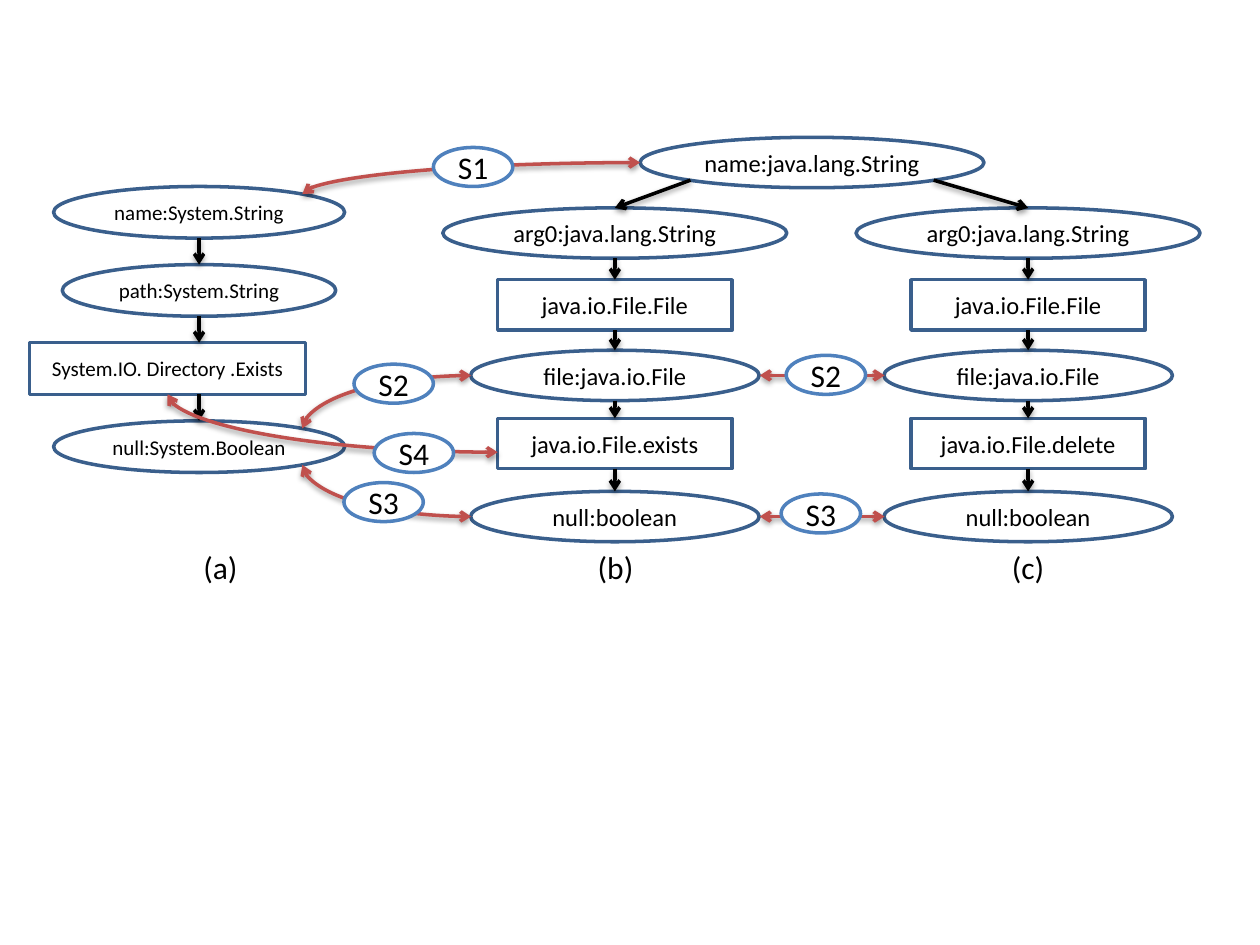
from dataclasses import dataclass
from itertools import pairwise

from lxml.etree import SubElement
from pptx import Presentation
from pptx.dml.color import RGBColor
from pptx.enum.shapes import MSO_CONNECTOR, MSO_SHAPE
from pptx.enum.text import MSO_ANCHOR, PP_ALIGN
from pptx.oxml.ns import qn
from pptx.util import Inches, Pt


@dataclass(frozen=True)
class Theme:
    font: str = "Calibri"
    ink: str = "000000"
    paper: str = "FFFFFF"
    node: str = "3A5F8C"
    badge: str = "4F81BD"
    match: str = "C0504D"
    small: int = 12
    medium: int = 14
    large: int = 18
    stroke: int = 2


THEME = Theme()
OVAL, RECT = MSO_SHAPE.OVAL, MSO_SHAPE.RECTANGLE


def rgb(value):
    return RGBColor.from_string(value)


def write(tf, text, size):
    p = tf.paragraphs[0]
    p.text = text
    p.alignment = PP_ALIGN.CENTER
    p.font.name = THEME.font
    p.font.size = Pt(size)
    p.font.color.rgb = rgb(THEME.ink)


def add_node(s, kind, box, text, size, outline=THEME.node):
    sp = s.shapes.add_shape(kind, *map(Inches, box))
    sp.shadow.inherit = False
    sp.fill.solid()
    sp.fill.fore_color.rgb = rgb(THEME.paper)
    sp.line.color.rgb = rgb(outline)
    sp.line.width = Pt(THEME.stroke)
    tf = sp.text_frame
    tf.margin_left = tf.margin_right = tf.margin_top = tf.margin_bottom = 0
    tf.vertical_anchor = MSO_ANCHOR.MIDDLE
    tf.word_wrap = False
    write(tf, text, size)


def add_arrow(s, start, end, color=THEME.ink, kind=MSO_CONNECTOR.STRAIGHT,
              ends=("tailEnd",)):
    """Connector that keeps the soft shadow of the theme."""
    line = s.shapes.add_connector(kind, *map(Inches, (*start, *end)))
    line.line.color.rgb = rgb(color)
    line.line.width = Pt(THEME.stroke)
    for tag in ends:
        SubElement(line.line._get_or_add_ln(), qn(f"a:{tag}"), type="arrow")
    return line


def add_match(s, start, end):
    """Two-headed curve; it leaves start sideways and meets end upright."""
    line = add_arrow(s, start, end, THEME.match, MSO_CONNECTOR.CURVE,
                     ("headEnd", "tailEnd"))
    if start[1] != end[1]:
        geom = line._element.spPr.find(qn("a:prstGeom"))
        geom.set("prst", "curvedConnector2")


def add_badge(s, left, top, text):
    add_node(s, OVAL, (left, top, 0.63, 0.31), text, THEME.large, THEME.badge)


def add_chain(s, center, height, size, nodes):
    """Column of nodes (kind, top, width, text, shift) joined by arrows."""
    for kind, top, width, text, shift in nodes:
        box = (center - width / 2 + shift, top, width, height)
        add_node(s, kind, box, text, size)
    for upper, lower in pairwise(nodes):
        add_arrow(s, (center, upper[1] + height), (center, lower[1]))


def add_java_chain(s, center, method):
    add_chain(s, center, 0.4, THEME.medium, [
        (OVAL, 1.65, 2.73, "arg0:java.lang.String", 0),
        (RECT, 2.22, 1.86, "java.io.File.File", 0),
        (OVAL, 2.78, 2.29, "file:java.io.File", 0),
        (RECT, 3.32, 1.86, f"java.io.File.{method}", 0),
        (OVAL, 3.9, 2.29, "null:boolean", 0),
    ])


def add_caption(s, left, width, text):
    tb = s.shapes.add_textbox(*map(Inches, (left, 4.3, width, 0.4)))
    tb.text_frame.word_wrap = False
    write(tb.text_frame, text, THEME.large)


prs = Presentation()
prs.slide_width, prs.slide_height = Inches(10), Inches(7.5)
s = prs.slides.add_slide(prs.slide_layouts[6])

# Chain (a)
add_chain(s, 1.58, 0.41, THEME.small, [
    (OVAL, 1.48, 2.31, "name:System.String", 0),
    (OVAL, 2.1, 2.17, "path:System.String", 0),
    (RECT, 2.72, 2.19, "System.IO. Directory .Exists", -0.25),
    (OVAL, 3.34, 2.31, "null:System.Boolean", 0),
])

# Shared root and chains (b) and (c)
add_node(s, OVAL, (5.08, 1.09, 2.73, 0.4), "name:java.lang.String", THEME.medium)
for center, method, root_x in ((4.88, "exists", 5.48), (8.16, "delete", 7.41)):
    add_java_chain(s, center, method)
    add_arrow(s, (root_x, 1.43), (center, 1.65))

# Matches between the chains
for start, end in (
    ((5.08, 1.29), (2.4, 1.54)),
    ((3.74, 2.98), (2.4, 3.4)),
    ((3.74, 4.1), (2.4, 3.69)),
    ((3.95, 3.59), (1.33, 3.13)),
    ((6.03, 2.98), (7.02, 2.98)),
    ((6.03, 4.1), (7.02, 4.1)),
):
    add_match(s, start, end)

# Match badges
for left, top, text in (
    (3.44, 1.17, "S1"),
    (2.81, 2.89, "S2"), (6.24, 2.82, "S2"),
    (2.73, 3.83, "S3"), (6.2, 3.92, "S3"),
    (2.97, 3.44, "S4"),
):
    add_badge(s, left, top, text)

# Captions
for left, width, text in ((1.51, 0.48, "(a)"), (4.64, 0.49, "(b)"), (7.93, 0.46, "(c)")):
    add_caption(s, left, width, text)

prs.save("out.pptx")
